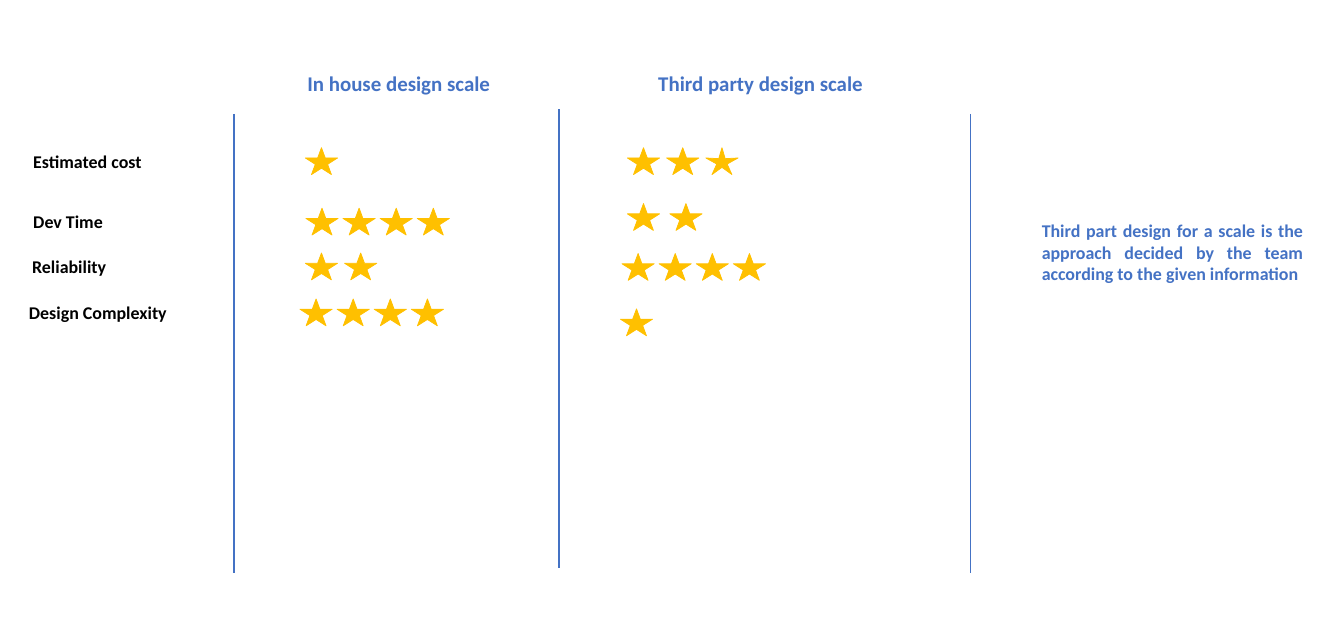
"""Build a slide that rates in-house and third-party scale designs with stars."""
import pptx
import pptx.dml.color
import pptx.enum.shapes
import pptx.enum.text
import pptx.util
import lxml.etree

Pt = pptx.util.Pt
ALIGN = pptx.enum.text.PP_ALIGN
BLUE = pptx.dml.color.RGBColor(0x44, 0x72, 0xC4)
GOLD = pptx.dml.color.RGBColor(0xFF, 0xC0, 0x00)
BLACK = pptx.dml.color.RGBColor(0, 0, 0)
STAR_WIDTH, STAR_HEIGHT = 43.2, 36
DIVIDER_HEIGHT = 615.6


def write_text(frame, text, size=24, color=BLACK, align=ALIGN.LEFT, font="Calibri"):
    frame.word_wrap = True
    frame.auto_size = pptx.enum.text.MSO_AUTO_SIZE.SHAPE_TO_FIT_TEXT
    para = frame.paragraphs[0]
    para.alignment = align
    span = para.add_run()
    span.text = text
    span.font.name = font
    span.font.size = Pt(size)
    span.font.bold = True
    span.font.color.rgb = color


class Board:
    def __init__(self, page):
        self.shapes = page.shapes

    def text(self, text, left, top, width, height, **style):
        box = self.shapes.add_textbox(Pt(left), Pt(top), Pt(width), Pt(height))
        write_text(box.text_frame, text, **style)

    def divider(self, x, top):
        line = self.shapes.add_connector(
            pptx.enum.shapes.MSO_CONNECTOR.STRAIGHT,
            Pt(x), Pt(top), Pt(x), Pt(top + DIVIDER_HEIGHT))
        line.line.color.rgb = BLUE
        line.line.width = Pt(2.25)
        properties = line._element.spPr
        lxml.etree.SubElement(properties, pptx.oxml.ns.qn("a:effectLst"))

    def star(self, left, top):
        star = self.shapes.add_shape(
            pptx.enum.shapes.MSO_SHAPE.STAR_5_POINT,
            Pt(left), Pt(top), Pt(STAR_WIDTH), Pt(STAR_HEIGHT))
        star.shadow.inherit = False
        star.fill.solid()
        star.fill.fore_color.rgb = GOLD
        star.line.color.rgb = GOLD
        star.line.width = Pt(1)
        return star

    def rating(self, count, left, top, pitch=49.7):
        return [self.star(left + index * pitch, top) for index in range(count)]


deck = pptx.Presentation()
deck.slide_width, deck.slide_height = Pt(1800), Pt(841.68)
board = Board(deck.slides.add_slide(deck.slide_layouts[6]))

for x, top in [(313.2, 152.64), (748.8, 146.16), (1299.6, 152.64)]:
    board.divider(x, top)

for heading, left, width in [("In house design scale", 393.84, 280.08),
                             ("Third party design scale", 861.84, 313.2)]:
    board.text(heading, left, 90.72, width, 41.04,
               size=28, color=BLUE, align=ALIGN.CENTER)

CRITERIA = [
    ("Estimated cost", 37.44, 198, (1, 408.96, 198), (3, 840.24, 198, 52.56)),
    ("Dev Time", 37.44, 278.64, (4, 409.68, 279), (2, 840.24, 272.88, 56.88)),
    ("Reliability", 36, 339.12, (2, 408.96, 339.12, 52.56), (4, 833.04, 339.8)),
    ("Design Complexity", 31.68, 400.32, (4, 401.76, 400.7), (1, 830.88, 414)),
]
third_party_stars = []
for label, left, top, in_house, third_party in CRITERIA:
    board.text(label, left, top, 252, 36)
    board.rating(*in_house)
    third_party_stars.append(board.rating(*third_party))
third_party_stars[0][-1].adjustments[0] = 0.162

board.text("Third part design for a scale is the approach decided by the team "
           "according to the given information",
           1388.16, 290.88, 364.32, 94.32, color=BLUE, align=ALIGN.JUSTIFY)

deck.save("out.pptx")
